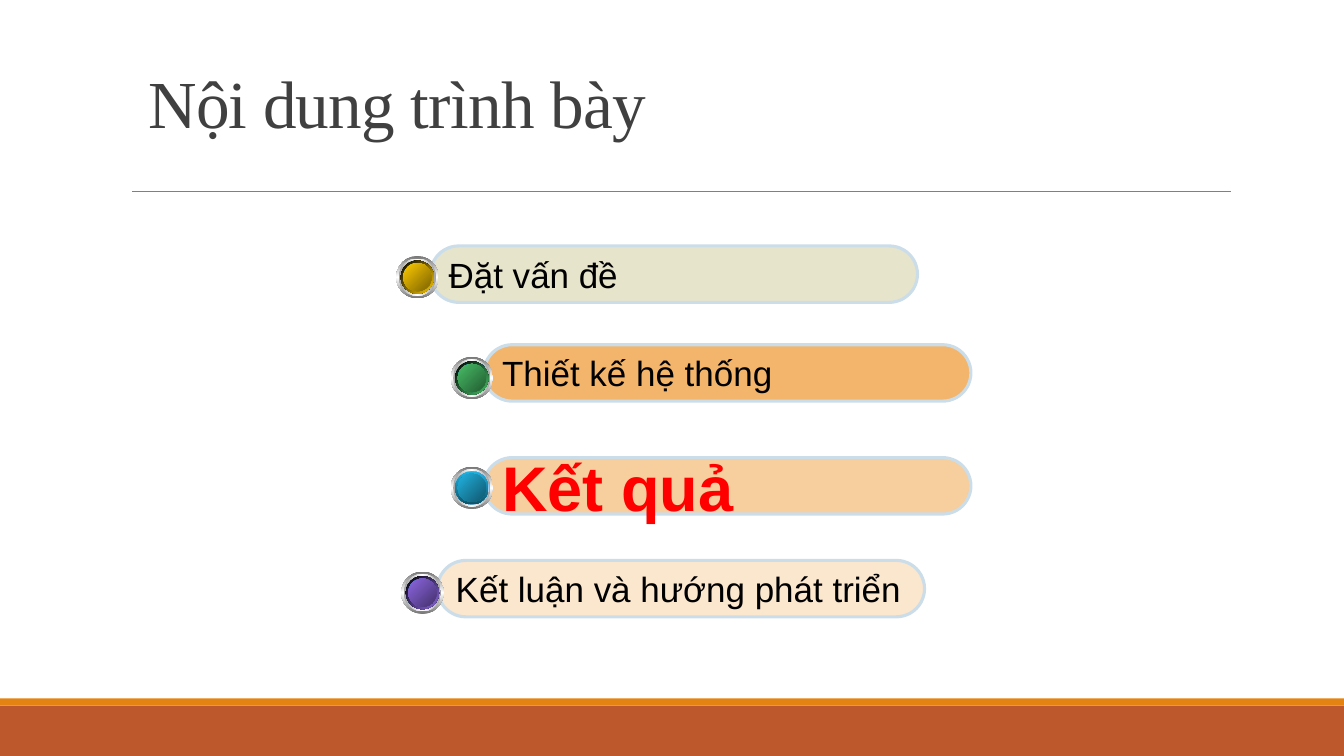
from copy import deepcopy
from dataclasses import dataclass

from pptx import Presentation
from pptx.dml.color import RGBColor
from pptx.enum.shapes import MSO_CONNECTOR, MSO_SHAPE
from pptx.enum.text import MSO_ANCHOR, MSO_AUTO_SIZE, PP_ALIGN
from pptx.oxml.ns import qn
from pptx.util import Inches, Pt


@dataclass(frozen=True)
class Theme:
    """Colours, fonts and type sizes of the slide."""
    title_font: str = "Times New Roman"
    body_font: str = "Arial"
    title_size: int = 48
    item_size: int = 25
    current_size: int = 45
    title: str = "404040"
    text: str = "000000"
    current: str = "FF0000"
    rule: str = "808080"
    outline: str = "CCDDEA"
    footer: str = "BD582C"
    stripe: str = "E48312"
    outer_ring: tuple = ("767676", "FFFFFF", "767676")
    inner_ring: tuple = ("A2A2A2", "FFFFFF", "A2A2A2")
    glow: tuple = ("FFFFFF", "2998E3", "FFFFFF")
    base: tuple = ("1F74AE", "2998E3", "1F74AE")


class AgendaSlide:
    """Draws agenda elements on one slide in one theme."""

    def __init__(self, presentation, theme):
        self.theme = theme
        self.slide = presentation.slides.add_slide(presentation.slide_layouts[5])

    def shape(self, kind, left, top, width, height, shapes=None):
        shapes = shapes or self.slide.shapes
        shape = shapes.add_shape(kind, Inches(left), Inches(top), Inches(width), Inches(height))
        shape.shadow.inherit = False
        shape.line.fill.background()
        return shape

    def bar(self, top, height, color):
        bar = self.shape(MSO_SHAPE.RECTANGLE, 0, top, 13.33, height)
        bar.fill.solid()
        bar.fill.fore_color.rgb = RGBColor.from_string(color)

    def rule(self, left, right, top):
        rule = self.slide.shapes.add_connector(
            MSO_CONNECTOR.STRAIGHT, Inches(left), Inches(top), Inches(right), Inches(top))
        rule.line.color.rgb = RGBColor.from_string(self.theme.rule)
        rule.line.width = Pt(0.5)
        properties = rule._element.spPr
        properties.append(properties.makeelement(qn("a:effectLst"), {}))

    def label(self, frame, text, font, size, color, bold=False):
        paragraph = frame.paragraphs[0]
        paragraph.alignment = PP_ALIGN.LEFT
        run = paragraph.add_run()
        run.text = text
        paragraph.font.name = font
        paragraph.font.size = Pt(size)
        paragraph.font.bold = bold
        paragraph.font.color.rgb = RGBColor.from_string(color)
        return paragraph

    def title(self, text, left, top, width, height):
        title = self.slide.shapes.title
        title.left, title.top = Inches(left), Inches(top)
        title.width, title.height = Inches(width), Inches(height)
        frame = title.text_frame
        frame.auto_size = MSO_AUTO_SIZE.NONE
        frame.vertical_anchor = MSO_ANCHOR.BOTTOM
        theme = self.theme
        paragraph = self.label(frame, text, theme.title_font, theme.title_size, theme.title)
        paragraph.line_spacing = 0.85
        paragraph.runs[0]._r.get_or_add_rPr().set("spc", "-50")

    def pill(self, text, left, top, color, current):
        theme = self.theme
        pill = self.shape(MSO_SHAPE.ROUNDED_RECTANGLE, left, top, 4.83, 0.56)
        pill.adjustments[0] = 0.5
        pill.fill.solid()
        pill.fill.fore_color.rgb = RGBColor.from_string(color)
        pill.line.color.rgb = RGBColor.from_string(theme.outline)
        pill.line.width = Pt(2.25)
        frame = pill.text_frame
        frame.word_wrap = False
        frame.vertical_anchor = MSO_ANCHOR.MIDDLE
        self.label(frame, text, theme.body_font,
                   theme.current_size if current else theme.item_size,
                   theme.current if current else theme.text, current)

    def disc(self, shapes, center_x, center_y, size, colors, angle):
        disc = self.shape(MSO_SHAPE.OVAL, center_x - size / 2, center_y - size / 2,
                          size, size, shapes)
        disc.fill.gradient()
        disc.fill.gradient_angle = (360 - angle) % 360
        stop_list = disc._element.spPr.find(".//" + qn("a:gsLst"))
        while len(stop_list) < len(colors):
            stop_list.append(deepcopy(stop_list[-1]))
        for index, (stop, color) in enumerate(zip(disc.fill.gradient_stops, colors)):
            stop.color.rgb = RGBColor.from_string(color)
            stop.position = index / (len(colors) - 1)

    def bullet(self, center_x, center_y, rim, rim_angle, face):
        theme = self.theme
        group = self.slide.shapes.add_group_shape()
        layers = [
            (0.42, theme.outer_ring, 90),
            (0.37, theme.inner_ring, 0),
            (0.33, theme.glow, 45),
            (0.33, rim, rim_angle),
            (0.28, theme.base, 315),
            (0.28, face, 45),
        ]
        for size, colors, angle in layers:
            self.disc(group.shapes, center_x, center_y, size, colors, angle)


def main():
    theme = Theme()
    presentation = Presentation()
    presentation.slide_width, presentation.slide_height = Inches(13.33), Inches(7.5)
    agenda = AgendaSlide(presentation, theme)
    agenda.bar(7, 0.5, theme.footer)
    agenda.bar(6.93, 0.07, theme.stripe)
    agenda.rule(1.31, 12.21, 1.9)
    agenda.title("Nội dung trình bày", 1.37, 0.47, 10.96, 0.99)

    items = [
        ("Đặt vấn đề", 4.27, 2.44, "E7E4CC", 4.14, 2.75,
         ("000000", "FFCC00"), 45, ("FFCC00", "7C6300")),
        ("Thiết kế hệ thống", 4.8, 3.42, "F3B56C", 4.68, 3.75,
         ("000000", "48BE67"), 45, ("48BE67", "235C32")),
        ("Kết quả", 4.8, 4.54, "F7CE9D", 4.68, 4.84,
         ("21B3E1", "0F5368"), 90, ("21B3E1", "10576D")),
        ("Kết luận và hướng phát triển", 4.34, 5.56, "FBE6CE", 4.19, 5.88,
         ("000000", "8D67E1"), 45, ("8D67E1", "45326D")),
    ]
    for text, left, top, color, center_x, center_y, rim, rim_angle, face in items:
        agenda.pill(text, left, top, color, current=text == "Kết quả")
        agenda.bullet(center_x, center_y, rim, rim_angle, face)
    presentation.save("out.pptx")


if __name__ == "__main__":
    main()
